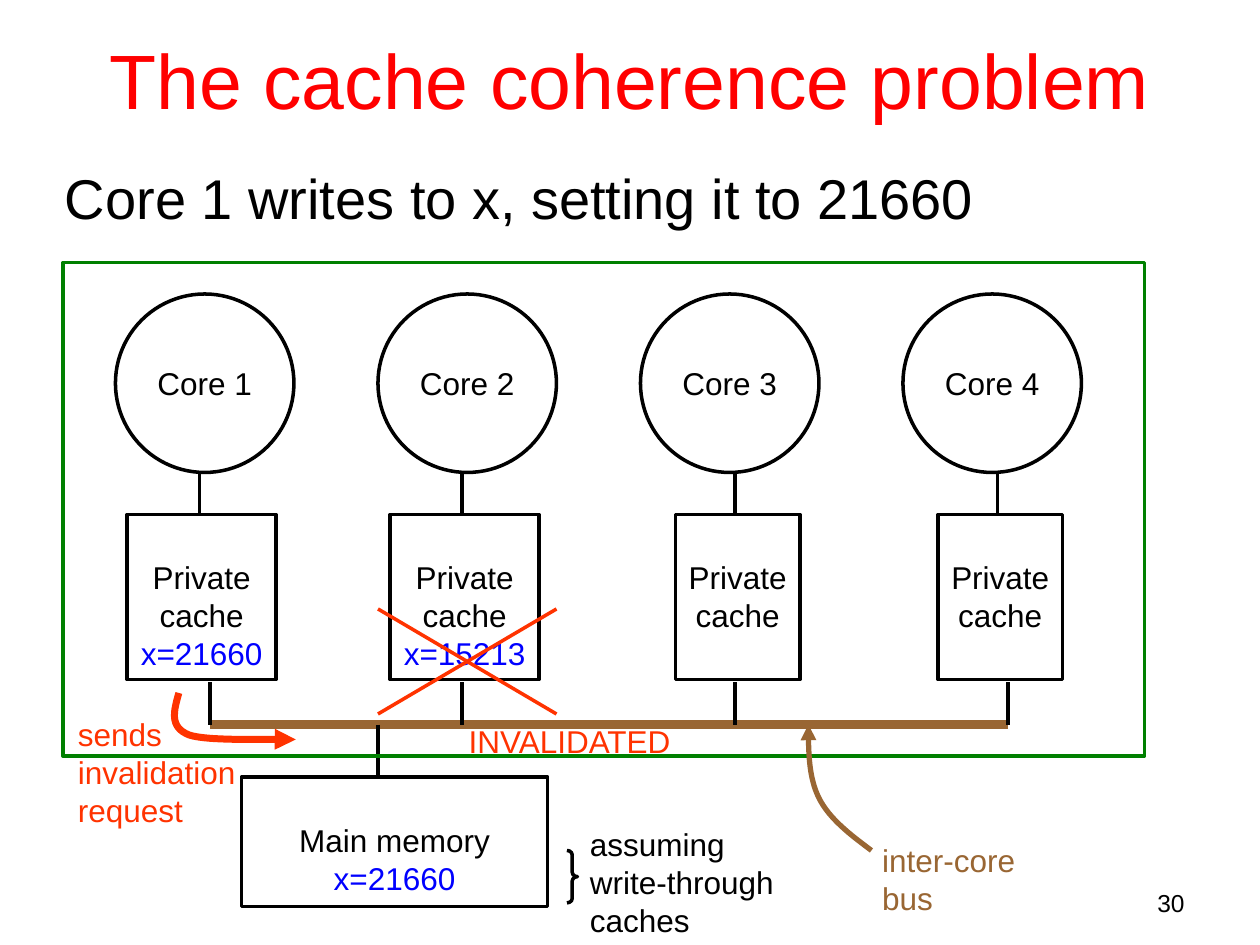
from lxml import etree
from pptx import Presentation
from pptx.dml.color import RGBColor
from pptx.enum import shapes as sh, text as tx
from pptx.oxml import ns
from pptx.util import Pt

BLACK = RGBColor(0x00, 0x00, 0x00)
RED = RGBColor(0xFF, 0x00, 0x00)
BLUE = RGBColor(0x00, 0x00, 0xFF)
GREEN = RGBColor(0x00, 0x80, 0x00)
BROWN = RGBColor(0x99, 0x66, 0x33)
ORANGE = RGBColor(0xFF, 0x33, 0x00)
LEFT, MID, RIGHT = tx.PP_ALIGN.LEFT, tx.PP_ALIGN.CENTER, tx.PP_ALIGN.RIGHT
OVAL, RECT = sh.MSO_SHAPE.OVAL, sh.MSO_SHAPE.RECTANGLE

deck = Presentation()
deck.slide_width, deck.slide_height = Pt(720), Pt(540)
slide = deck.slides.add_slide(deck.slide_layouts[6])
parts = slide.shapes


def write(item, lines, size=18, color=BLACK, align=LEFT, wrap=False):
    """Fill a shape with lines of text; lines that start with x= are blue."""
    frame = item.text_frame
    frame.text = "\n".join(lines)
    frame.word_wrap = wrap
    for para in frame.paragraphs:
        para.alignment = align
        para.font.name = "Arial"
        para.font.size = Pt(size)
        para.font.color.rgb = BLUE if para.text.startswith("x=") else color
    return frame


def outline(kind, x, y, w, h, color=BLACK):
    item = parts.add_shape(kind, Pt(x), Pt(y), Pt(w), Pt(h))
    item.shadow.inherit = False
    item.fill.background()
    item.line.color.rgb = color
    item.line.width = Pt(2)
    return item


# Free text: lines, place, size, color, alignment, wrap, anchor
TOP, CENTER = tx.MSO_ANCHOR.TOP, tx.MSO_ANCHOR.MIDDLE
notes = [
    (["30"], (516, 504, 168, 25), 14, BLACK, RIGHT, True, TOP),
    (["The cache coherence problem"], (36, 0, 648, 90), 44, RED, MID, True, CENTER),
    (["Core 1 writes to x, setting it to 21660"], (30, 90, 648, 50),
     32, BLACK, LEFT, True, TOP),
    (["assuming", "write-through", "caches"], (330, 468, 124.6, 72),
     18, BLACK, LEFT, False, TOP),
    (["INVALIDATED"], (260.8, 409, 132.5, 29), 18, ORANGE, LEFT, False, TOP),
    (["sends", "invalidation", "request"], (37.4, 405, 104.4, 72),
     18, ORANGE, LEFT, False, TOP),
    (["inter-core", "bus"], (497, 477, 90.7, 50), 18, BROWN, LEFT, False, TOP),
]
for lines, place, size, color, align, wrap, anchor in notes:
    box = parts.add_textbox(*map(Pt, place))
    write(box, lines, size, color, align, wrap).vertical_anchor = anchor

# Cores, one every 150 points
for i in range(4):
    core = outline(OVAL, 66 + 150 * i, 168, 102, 102)
    write(core, [f"Core {i + 1}"], align=MID).vertical_anchor = CENTER

# Caches and main memory, text starting on the second line
CACHE = ["Private", "cache"]
stores = [
    (72.7, 294, 85, 94.3, CACHE + ["x=21660"]),
    (223, 294, 85, 94.3, CACHE + ["x=15213"]),
    (386, 294, 71.2, 94.3, CACHE),
    (536, 294, 71.2, 94.3, CACHE),
    (138, 444, 175, 74, ["Main memory", "x=21660"]),
]
for x, y, w, h, lines in stores:
    frame = write(outline(RECT, x, y, w, h), lines, align=MID)
    frame.vertical_anchor = TOP
    frame.margin_top = Pt(25)

# Wires, bus and the cross over the stale cache
BUS = 414
wires = [(120, BUS, 576, BUS, BROWN, 5)]
wires += [(x, 270, x, 294, BLACK, 2) for x in (114, 264, 420, 570)]
wires += [(x, 390, x, BUS, BLACK, 2) for x in (120, 264, 420, 576)]
wires += [
    (216, BUS, 216, 444, BLACK, 2),
    (216, 408, 318, 348, ORANGE, 2),
    (216, 348, 318, 408, ORANGE, 2),
]
for x1, y1, x2, y2, color, width in wires:
    wire = parts.add_connector(
        sh.MSO_CONNECTOR.STRAIGHT, Pt(x1), Pt(y1), Pt(x2), Pt(y2))
    wire.line.color.rgb = color
    wire.line.width = Pt(width)
    etree.SubElement(wire._element.spPr, ns.qn("a:effectLst"))

outline(RECT, 36, 150, 618, 282, GREEN)
brace = outline(sh.MSO_SHAPE.RIGHT_BRACE, 324, 486, 6, 30)
brace.adjustments[0] = 0.42

# Curved arrows, each made of two cubic curves
STEPS = 16
arrows = [
    (ORANGE, 4, [(102.2, 396), (99.4, 406), (96.5, 415.5), (108, 420),
                 (119.5, 424), (159, 422), (169, 422.6)]),
    (BROWN, 3, [(498, 486), (486, 477), (474, 468), (468, 456),
                (462, 444), (462, 429), (462, 414)]),
]
for color, width, knots in arrows:
    path = []
    for k in (0, 3):
        for n in range(1, STEPS + 1):
            t = n / STEPS
            mix = ((1 - t) ** 3, 3 * t * (1 - t) ** 2, 3 * t * t * (1 - t), t ** 3)
            path.append([Pt(sum(m * p[axis] for m, p in zip(mix, knots[k:k + 4])))
                         for axis in (0, 1)])
    build = parts.build_freeform(Pt(knots[0][0]), Pt(knots[0][1]))
    build.add_line_segments(path, close=False)
    curve = build.convert_to_shape()
    curve.shadow.inherit = False
    curve.fill.background()
    curve.line.color.rgb = color
    curve.line.width = Pt(width)
    etree.SubElement(curve.line._get_or_add_ln(), ns.qn("a:tailEnd"), type="triangle")

deck.save("out.pptx")
